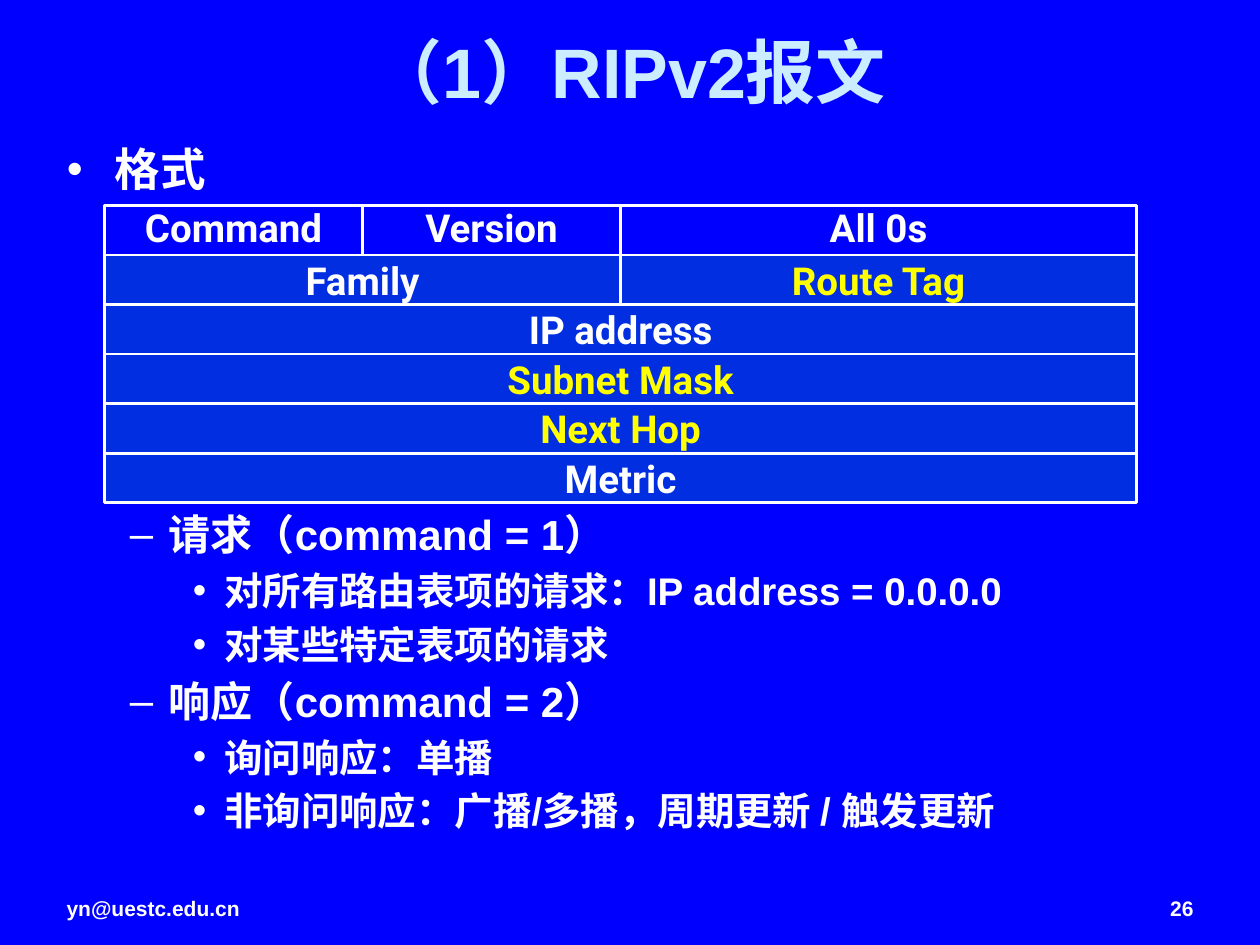
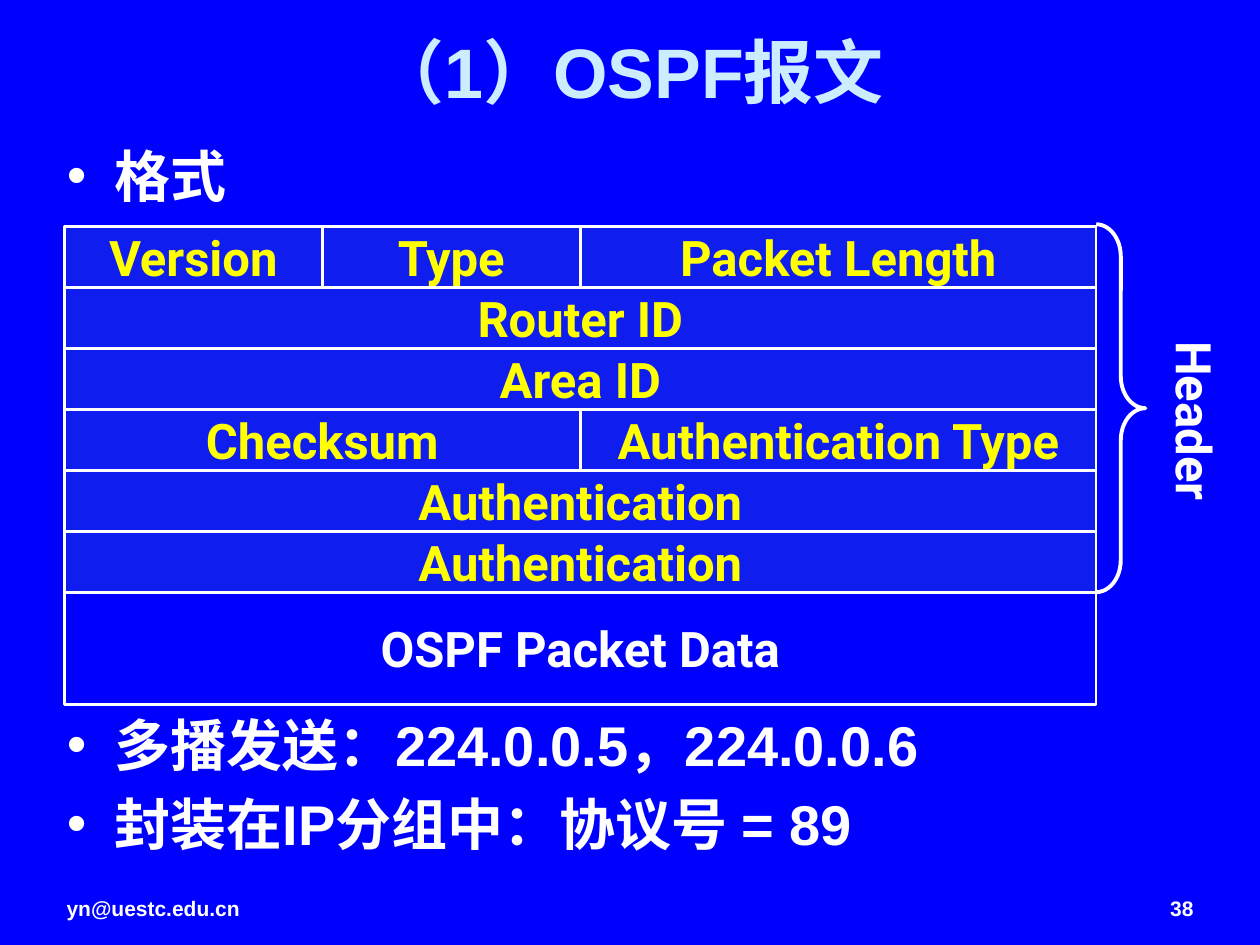
from lxml import etree
from pptx import Presentation, util as u
from pptx.dml.color import RGBColor
from pptx.enum import shapes, text
from pptx.oxml import ns

COLORS = {
    "background": "0000FF",
    "title": "CCECFF",
    "plain": "FFFFFF",
    "accent": "FFFF00",
    "teal": "009999",
    "steel": "3366CC",
}
HEADING_FONT = "Arial"
FIELD_FONT = "Roboto"
EMAIL = "yn@uestc.edu.cn"
# Bullet, left margin and hanging indent in inches for each list level
LEVELS = [("•", 0.38, 0.38), ("–", 0.81, 0.31), ("•", 1.25, 0.25)]
HEADER_WIDTH = 8.19
HEADER_UNITS = 4


def rgb(name):
    return RGBColor.from_string(COLORS[name])


def write(paragraph, words, size, color="plain", font=HEADING_FONT, align=None,
          before=0, line_spacing=None):
    """Add bold text to a paragraph and set its format."""
    run = paragraph.add_run()
    run.text = words
    run.font.size = u.Pt(size)
    run.font.bold = True
    run.font.name = font
    run.font.color.rgb = rgb(color)
    paragraph.alignment = align
    paragraph.space_before = u.Pt(before)
    if line_spacing:
        paragraph.line_spacing = line_spacing


def place(shape, left, top, width, height):
    shape.left, shape.top = u.Inches(left), u.Inches(top)
    shape.width, shape.height = u.Inches(width), u.Inches(height)


class Deck:
    def __init__(self):
        self.presentation = Presentation()
        self.presentation.slide_width = u.Inches(10)
        self.presentation.slide_height = u.Inches(7.5)
        fill = self.presentation.slide_master.background.fill
        fill.solid()
        fill.fore_color.rgb = rgb("background")
        self.slide = None

    def add_slide(self, title, number):
        layout = self.presentation.slide_layouts[1]
        self.slide = self.presentation.slides.add_slide(layout)
        shape = self.slide.shapes.title
        place(shape, 0.43, 0.12, 9.13, 0.88)
        frame = shape.text_frame
        frame.auto_size = text.MSO_AUTO_SIZE.NONE
        frame.vertical_anchor = text.MSO_ANCHOR.MIDDLE
        write(frame.paragraphs[0], title, 40, "title", align=text.PP_ALIGN.CENTER)
        self.text_box(EMAIL, 0.43, 7.06, 6.65, 0.35, 12, align=text.PP_ALIGN.LEFT)
        self.text_box(str(number), 7.25, 7.06, 2.32, 0.35, 12, align=text.PP_ALIGN.RIGHT)

    def text_box(self, words, left, top, width, height, size, wrap=True, **style):
        box = self.slide.shapes.add_textbox(
            u.Inches(left), u.Inches(top), u.Inches(width), u.Inches(height))
        box.text_frame.word_wrap = wrap
        write(box.text_frame.paragraphs[0], words, size, **style)
        return box

    def bullets(self, items, sizes, gap):
        """Fill the body with (level, words); gap points for the header follow the first item."""
        body = self.slide.placeholders[1]
        place(body, 0.43, 1.07, 9.13, 5.91)
        frame = body.text_frame
        frame.auto_size = text.MSO_AUTO_SIZE.NONE
        for index, (level, words) in enumerate(items):
            paragraph = frame.add_paragraph() if index else frame.paragraphs[0]
            paragraph.level = level
            mark, margin, hanging = LEVELS[level]
            properties = paragraph._p.get_or_add_pPr()
            properties.set("marL", str(u.Inches(margin)))
            properties.set("indent", str(-u.Inches(hanging)))
            etree.SubElement(properties, ns.qn("a:buChar"), char=mark)
            before = {0: 0, 1: gap}.get(index, sizes[level] * 0.2)
            write(paragraph, words, sizes[level], before=before)

    def field(self, words, left, top, width, height, size, color, fill=None,
              line_spacing=None):
        """Draw one outlined packet field, tinted when a fill is named."""
        shape = self.slide.shapes.add_shape(
            shapes.MSO_SHAPE.RECTANGLE,
            u.Inches(left), u.Inches(top), u.Inches(width), u.Inches(height))
        self.outline(shape, 1.5)
        if fill:
            shape.fill.solid()
            shape.fill.fore_color.rgb = rgb(fill)
            tint = shape._element.spPr.find(".//" + ns.qn("a:srgbClr"))
            etree.SubElement(tint, ns.qn("a:alpha"), val="30000")
        frame = shape.text_frame
        frame.word_wrap = False
        frame.vertical_anchor = text.MSO_ANCHOR.MIDDLE
        write(frame.paragraphs[0], words, size, color, FIELD_FONT,
              text.PP_ALIGN.CENTER, line_spacing=line_spacing)

    def outline(self, shape, width):
        shape.shadow.inherit = False
        shape.fill.background()
        shape.line.color.rgb = rgb("plain")
        shape.line.width = u.Pt(width)

    def packet(self, rows, left, top, row_height, size):
        """Stack rows of fields; each field is (words, units wide, colour, fill)."""
        unit = HEADER_WIDTH / HEADER_UNITS
        for index, row in enumerate(rows):
            column = 0
            for words, units, color, fill in row:
                self.field(words, left + column * unit, top + index * row_height,
                           units * unit, row_height, size, color, fill,
                           line_spacing=None if fill else 0.9)
                column += units

    def brace(self, left, top, width, height):
        shape = self.slide.shapes.add_shape(
            shapes.MSO_SHAPE.RIGHT_BRACE,
            u.Inches(left), u.Inches(top), u.Inches(width), u.Inches(height))
        shape.adjustments[0] = 0.655
        shape.adjustments[1] = 0.5
        self.outline(shape, 2.25)

    def vertical_label(self, words, left, top, width, height, size):
        box = self.text_box(words, left, top, width, height, size, wrap=False,
                            font=FIELD_FONT, align=text.PP_ALIGN.CENTER)
        box.text_frame._txBody.bodyPr.set("vert", "eaVert")


def add_rip_slide(deck):
    deck.add_slide("（1）RIPv2报文", 26)
    deck.bullets([
        (0, "格式"),
        (1, "请求（command = 1）"),
        (2, "对所有路由表项的请求：IP address = 0.0.0.0"),
        (2, "对某些特定表项的请求"),
        (1, "响应（command = 2）"),
        (2, "询问响应：单播"),
        (2, "非询问响应：广播/多播，周期更新 / 触发更新"),
    ], sizes=(26, 24, 22), gap=179)
    deck.packet([
        [("Command", 1, "plain", None), ("Version", 1, "plain", None),
         ("All 0s", 2, "plain", None)],
        [("Family", 2, "plain", "teal"), ("Route Tag", 2, "accent", "teal")],
        [("IP address", 4, "plain", "teal")],
        [("Subnet Mask", 4, "accent", "teal")],
        [("Next Hop", 4, "accent", "teal")],
        [("Metric", 4, "plain", "teal")],
    ], left=0.83, top=1.63, row_height=2.36 / 6, size=22)


def add_ospf_slide(deck):
    deck.add_slide("（1）OSPF报文", 38)
    deck.bullets([
        (0, "格式"),
        (0, "多播发送：224.0.0.5，224.0.0.6"),
        (0, "封装在IP分组中：协议号 = 89"),
    ], sizes=(32,), gap=287)
    header = [
        [("Version", 1), ("Type", 1), ("Packet Length", 2)],
        [("Router ID", 4)],
        [("Area ID", 4)],
        [("Checksum", 2), ("Authentication Type", 2)],
        [("Authentication", 4)],
        [("Authentication", 4)],
    ]
    rows = [[(*cell, "accent", "steel") for cell in row] for row in header]
    left, top, bottom = 0.51, 1.8, 4.7
    deck.packet(rows, left, top, (bottom - top) / len(rows), size=28)
    deck.field("OSPF Packet Data", left, bottom, HEADER_WIDTH, 0.89, 28, "plain")
    deck.brace(left + HEADER_WIDTH, 1.78, 0.39, 2.92)
    deck.vertical_label("Header", 9.1, 2.61, 0.67, 1.31, 28)


def main():
    deck = Deck()
    add_rip_slide(deck)
    add_ospf_slide(deck)
    deck.presentation.save("out.pptx")


if __name__ == "__main__":
    main()
